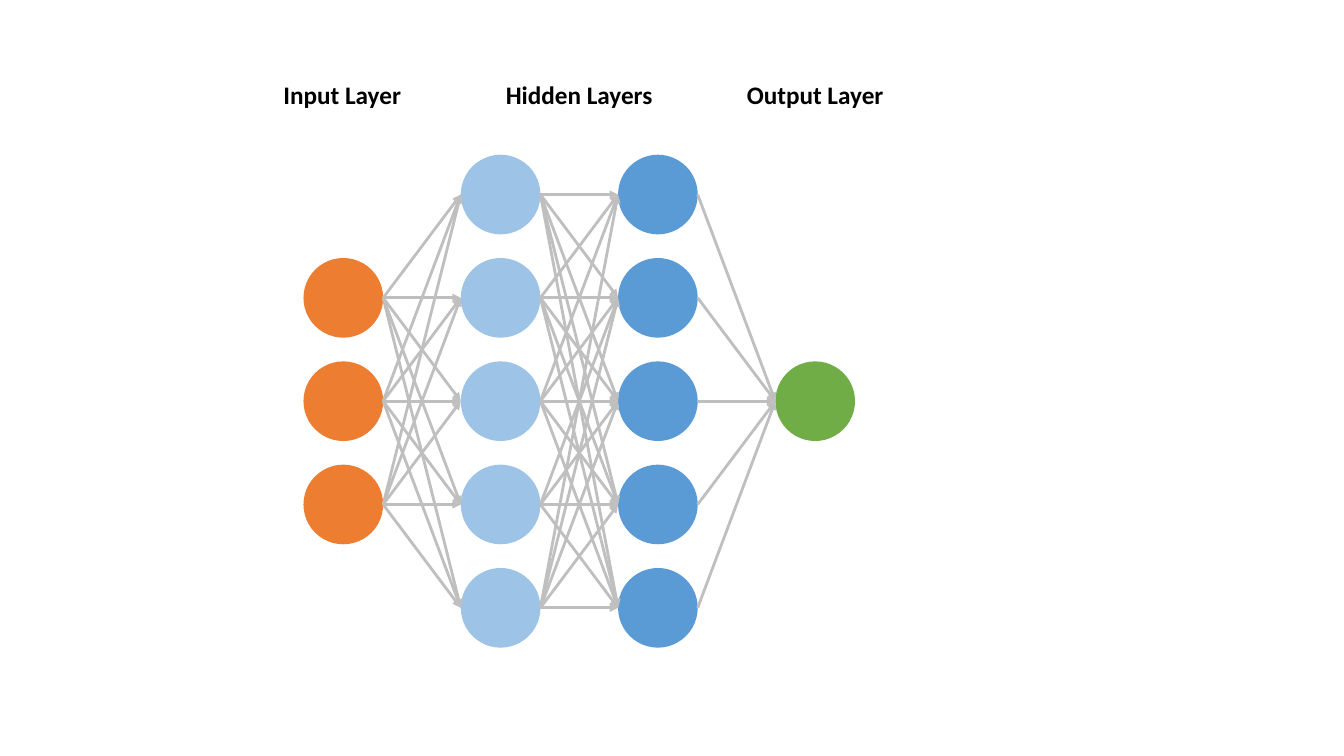
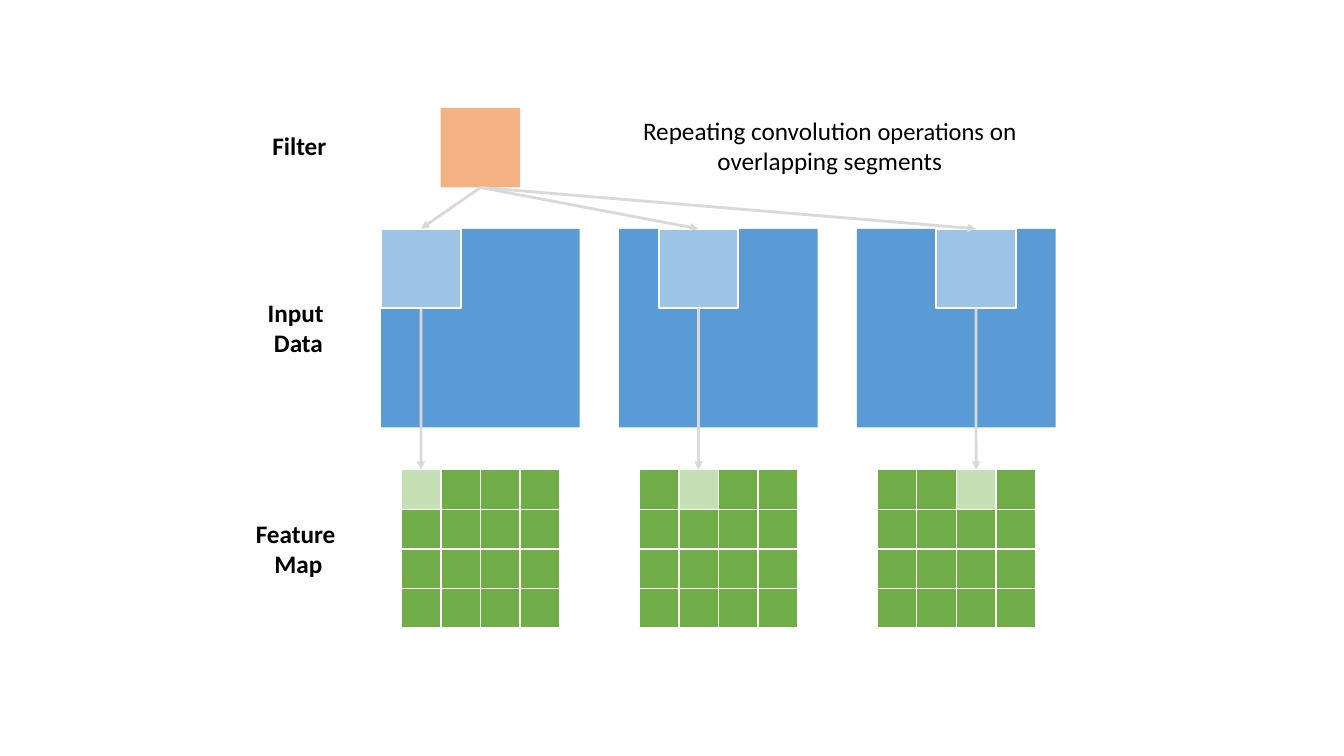
import pptx
import pptx.util
import pptx.dml.color
import pptx.enum.shapes
import pptx.enum.text
import pptx.oxml
import pptx.oxml.ns

Inches, Pt = pptx.util.Inches, pptx.util.Pt
RGB = pptx.dml.color.RGBColor.from_string
SHAPE = pptx.enum.shapes.MSO_SHAPE
COLORS = {
    "orange": "ED7D31", "peach": "F4B183", "blue": "5B9BD5", "sky": "9DC3E6",
    "green": "70AD47", "mint": "C5E0B4", "navy": "325491", "white": "FFFFFF",
    "grey": "BFBFBF", "silver": "D9D9D9", "black": "000000",
}
FONT = "Calibri"


def add_block(s, kind, x, y, size, fill=None, line=None, weight=1):
    """Add a shape as wide as it is high, with optional fill and outline."""
    sp = s.shapes.add_shape(kind, Inches(x), Inches(y), Inches(size), Inches(size))
    sp.shadow.inherit = False
    if fill:
        sp.fill.solid()
        sp.fill.fore_color.rgb = RGB(COLORS[fill])
    else:
        sp.fill.background()
    if line:
        sp.line.color.rgb = RGB(COLORS[line])
        sp.line.width = Pt(weight)
    else:
        sp.line.fill.background()


def add_arrow(s, start, end, color):
    """Add a straight arrow between two points."""
    cxn = s.shapes.add_connector(
        pptx.enum.shapes.MSO_CONNECTOR.STRAIGHT,
        Inches(start[0]), Inches(start[1]), Inches(end[0]), Inches(end[1]))
    cxn.line.color.rgb = RGB(COLORS[color])
    cxn.line.width = Pt(2)
    qn = pptx.oxml.ns.qn
    tail = cxn.line._get_or_add_ln().makeelement(qn("a:tailEnd"), {"type": "triangle"})
    cxn.line._get_or_add_ln().append(tail)
    sp_pr = cxn._element.spPr
    sp_pr.append(sp_pr.makeelement(qn("a:effectLst"), {}))


prs = pptx.Presentation()
prs.slide_width, prs.slide_height = Inches(13.33), Inches(7.5)
network, convolution = [prs.slides.add_slide(prs.slide_layouts[6]) for _ in range(2)]

# Neural network: layers of nodes centred on one axis
NODE = 0.79
LAYER_X, LAYER_STEP = 3.01, 1.56
AXIS_Y, ROW_STEP = 3.98, 4.1 / 4
layers = []
for i, (count, fill) in enumerate([(3, "orange"), (5, "sky"), (5, "blue"), (1, "green")]):
    x = LAYER_X + i * LAYER_STEP
    centres = [AXIS_Y + (row - (count - 1) / 2) * ROW_STEP for row in range(count)]
    for y in centres:
        add_block(network, SHAPE.OVAL, x, y - NODE / 2, NODE, fill)
    layers.append((x, centres))

UNLINKED = (1, 3, 0)  # layer, row it leaves, row it would reach
for i, ((x, sources), (next_x, targets)) in enumerate(zip(layers, layers[1:])):
    for a, y in enumerate(sources):
        for b, next_y in enumerate(targets):
            if (i, a, b) != UNLINKED:
                add_arrow(network, (x + NODE, y), (next_x, next_y), "grey")

# Convolution: the filter slides one cell further in each panel
FILTER_X, FILTER_Y, FILTER = 4.37, 1.07, 0.79
INPUT_X, INPUT_Y, INPUT = 3.78, 2.27, 1.97
MAP_X, MAP_Y, MAP, CELLS = 3.98, 4.66, 1.57, 4
PANEL_STEP = 2.36
CELL = MAP / CELLS
add_block(convolution, SHAPE.RECTANGLE, FILTER_X, FILTER_Y, FILTER, "peach")
for panel in range(3):
    input_x = INPUT_X + panel * PANEL_STEP
    map_x = MAP_X + panel * PANEL_STEP
    segment_x = input_x + panel * CELL
    add_block(convolution, SHAPE.RECTANGLE, input_x, INPUT_Y, INPUT, "blue")
    add_block(convolution, SHAPE.RECTANGLE, segment_x, INPUT_Y, FILTER, "sky", "white", 1.5)
    add_block(convolution, SHAPE.RECTANGLE, map_x, MAP_Y, MAP, "green", "navy")
    for row in range(CELLS):
        for col in range(CELLS):
            fill = "mint" if (row, col) == (0, panel) else None
            add_block(convolution, SHAPE.RECTANGLE, map_x + col * CELL,
                      MAP_Y + row * CELL, CELL, fill, "white")
    segment_mid = segment_x + FILTER / 2
    cell_mid = map_x + (panel + 0.5) * CELL
    add_arrow(convolution, (FILTER_X + FILTER / 2, FILTER_Y + FILTER),
              (segment_mid, INPUT_Y), "silver")
    add_arrow(convolution, (segment_mid, INPUT_Y + FILTER), (cell_mid, MAP_Y), "silver")

# Labels: slide, left, top, width, height, bold, paragraphs of (text, size) runs
labels = [
    (network, 2.51, 0.74, 1.77, 0.4, True, [[("Input Layer", 18)]]),
    (network, 4.86, 0.74, 1.77, 0.4, True, [[("Hidden Layers", 18)]]),
    (network, 7.2, 0.74, 1.77, 0.4, True, [[("Output Layer", 18)]]),
    (convolution, 2.38, 1.24, 1.18, 0.4, True, [[("Filter", 18)]]),
    (convolution, 2.37, 2.9, 1.18, 0.71, True, [[("Input ", 18)], [("Data", 18)]]),
    (convolution, 2.37, 5.09, 1.18, 0.71, True, [[("Feature ", 18)], [("Map", 18)]]),
    (convolution, 5.98, 1.09, 4.5, 0.71, False,
     [[("Repeating convolution ", 18), ("operations", 17.5),
       (" on overlapping segments", 18)]]),
]
for s, x, y, w, h, bold, paragraphs in labels:
    tf = s.shapes.add_textbox(Inches(x), Inches(y), Inches(w), Inches(h)).text_frame
    tf.word_wrap = True
    for i, runs in enumerate(paragraphs):
        p = tf.add_paragraph() if i else tf.paragraphs[0]
        p.alignment = pptx.enum.text.PP_ALIGN.CENTER
        for text, size in runs:
            r = p.add_run()
            r.text = text
            r.font.name = FONT
            r.font.size = Pt(size)
            r.font.bold = bold
            r.font.color.rgb = RGB(COLORS["black"])

prs.save("out.pptx")
